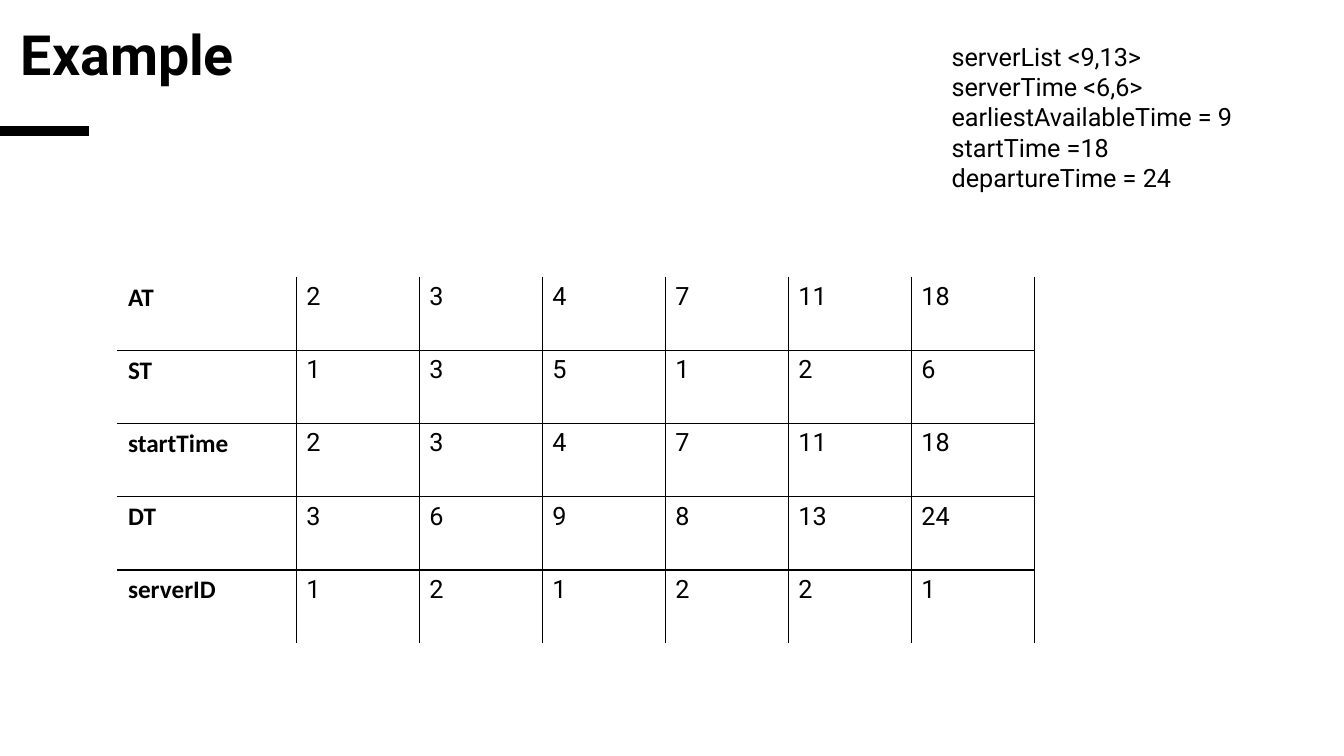
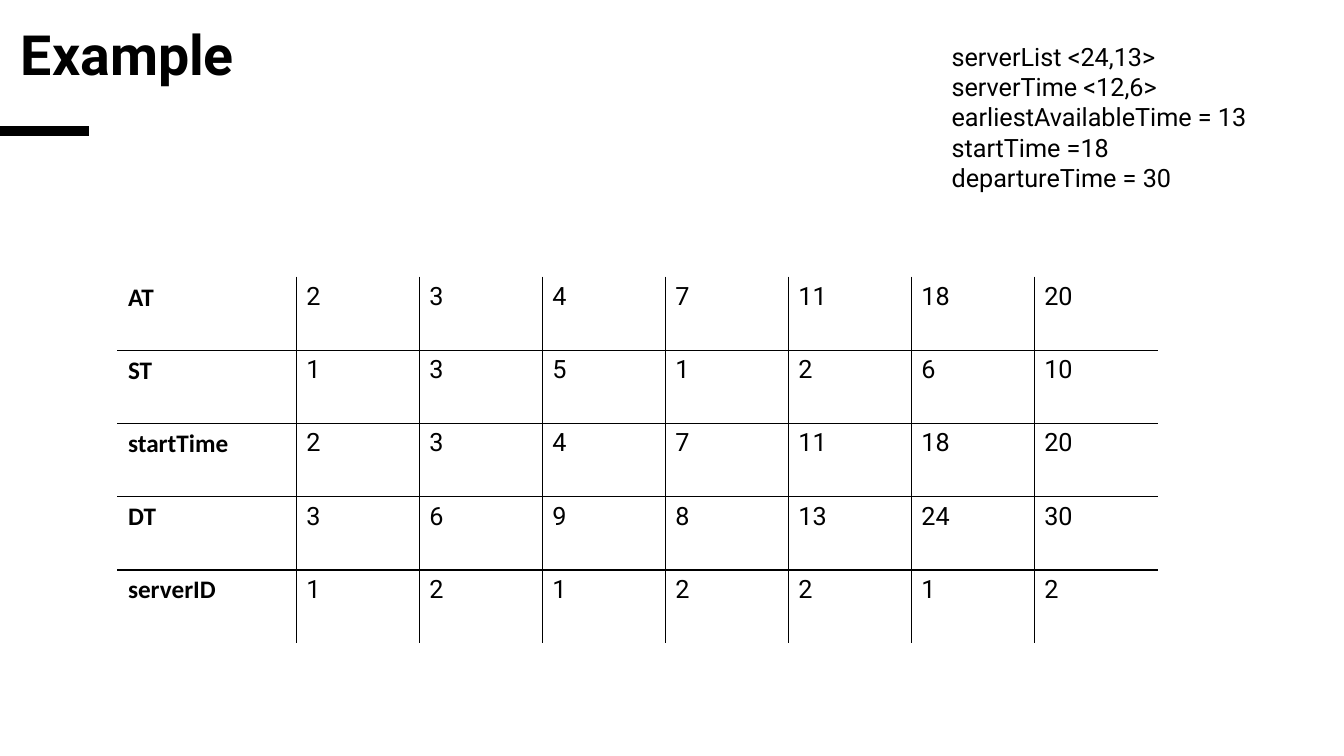
from dataclasses import dataclass

from lxml import etree
from pptx import Presentation
from pptx import util as u
from pptx.dml.color import RGBColor
from pptx.enum import shapes, text
from pptx.oxml import ns


@dataclass(frozen=True)
class Theme:
    ink: str = "000000"
    paper: str = "FFFFFF"
    body_font: str = "Roboto"
    label_font: str = "Calibri"
    title_size: float = 39.6
    body_size: float = 18
    bar_width: float = 6.75
    border_width: float = 1


ROW_LABELS = ("AT", "ST", "startTime", "DT", "serverID")

# One job per table column, values in the order of ROW_LABELS
JOBS = (
    (2, 1, 2, 3, 1),
    (3, 3, 3, 6, 2),
    (4, 5, 4, 9, 1),
    (7, 1, 7, 8, 2),
    (11, 2, 11, 13, 2),
    (18, 6, 18, 24, 1),
    (20, 10, 20, 30, 2),
)


class Deck:
    def __init__(self, theme):
        self.theme = theme
        self.presentation = Presentation()
        self.presentation.slide_width = u.Inches(13.33)
        self.presentation.slide_height = u.Inches(7.5)
        self.slide = None

    def new_slide(self, title):
        layout = self.presentation.slide_layouts[6]
        self.slide = self.presentation.slides.add_slide(layout)
        background = self.slide.background.fill
        background.solid()
        background.fore_color.rgb = RGBColor.from_string(self.theme.paper)
        self.bar()
        self.title(title)

    def format_paragraph(self, paragraph, **changes):
        values = {
            "name": self.theme.body_font,
            "size": u.Pt(self.theme.body_size),
            "bold": False,
            **changes,
        }
        for name, value in values.items():
            setattr(paragraph.font, name, value)
        paragraph.font.color.rgb = RGBColor.from_string(self.theme.ink)

    def text_box(self, lines, left, top, width, height, **changes):
        shape = self.slide.shapes.add_textbox(
            *(u.Inches(length) for length in (left, top, width, height)))
        frame = shape.text_frame
        frame.word_wrap = True
        frame.text = "\n".join(lines)
        for paragraph in frame.paragraphs:
            self.format_paragraph(paragraph, **changes)
        return frame

    def title(self, words):
        frame = self.text_box([words], 0.11, 0.23, 10.85, 0.71,
                              size=u.Pt(self.theme.title_size), bold=True)
        frame.vertical_anchor = text.MSO_ANCHOR.MIDDLE
        frame.paragraphs[0].line_spacing = 0.85

    def bar(self):
        line = self.slide.shapes.add_connector(
            shapes.MSO_CONNECTOR.STRAIGHT,
            u.Inches(0), u.Inches(1.3), u.Inches(0.88), u.Inches(1.3))
        line.line.width = u.Pt(self.theme.bar_width)
        line.line.color.rgb = RGBColor.from_string(self.theme.ink)
        etree.SubElement(line._element.spPr, ns.qn("a:effectLst"))

    def state(self, lines):
        frame = self.text_box(lines, 9.34, 0.36, 3.24, 1.62)
        frame.auto_size = text.MSO_AUTO_SIZE.SHAPE_TO_FIT_TEXT

    def border(self, cell, side, color):
        properties = cell._tc.get_or_add_tcPr()
        line = etree.SubElement(properties, ns.qn(f"a:ln{side}"),
                                w=str(u.Pt(self.theme.border_width)))
        fill = etree.SubElement(line, ns.qn("a:solidFill"))
        etree.SubElement(fill, ns.qn("a:srgbClr"), val=color)

    def schedule(self, jobs, closed_right):
        rows = list(zip(ROW_LABELS, *jobs))
        widths = [1.77] + [1.22] * len(jobs)
        height = 3.63
        table = self.slide.shapes.add_table(
            len(rows), len(widths), u.Inches(1.17), u.Inches(2.75),
            u.Inches(sum(widths)), u.Inches(height)).table
        table.first_row = table.horz_banding = False
        for column, width in zip(table.columns, widths):
            column.width = u.Inches(width)
        for row in table.rows:
            row.height = u.Inches(height / len(rows))

        last_row, last_column = len(rows) - 1, len(widths) - 1
        for i, values in enumerate(rows):
            for j, value in enumerate(values):
                cell = table.cell(i, j)
                cell.text = str(value)
                label = {"name": self.theme.label_font, "bold": True}
                self.format_paragraph(cell.text_frame.paragraphs[0],
                                      **(label if j == 0 else {}))
                # Only inner lines show, unless the right edge is closed
                visible = {
                    "L": j > 0,
                    "R": j < last_column or closed_right,
                    "T": i > 0,
                    "B": i < last_row,
                }
                for side, shown in visible.items():
                    self.border(cell, side,
                                self.theme.ink if shown else self.theme.paper)
                cell.fill.background()


def main():
    deck = Deck(Theme())

    # Sixth job scheduled
    deck.new_slide("Example")
    deck.state(["serverList <9,13>", "serverTime <6,6>",
                "earliestAvailableTime = 9", "startTime =18",
                "departureTime = 24"])
    deck.schedule(JOBS[:6], closed_right=True)

    # Seventh job scheduled
    deck.new_slide("Example")
    deck.state(["serverList <24,13>", "serverTime <12,6>",
                "earliestAvailableTime = 13", "startTime =18",
                "departureTime = 30"])
    deck.schedule(JOBS, closed_right=False)

    deck.presentation.save("out.pptx")


if __name__ == "__main__":
    main()
